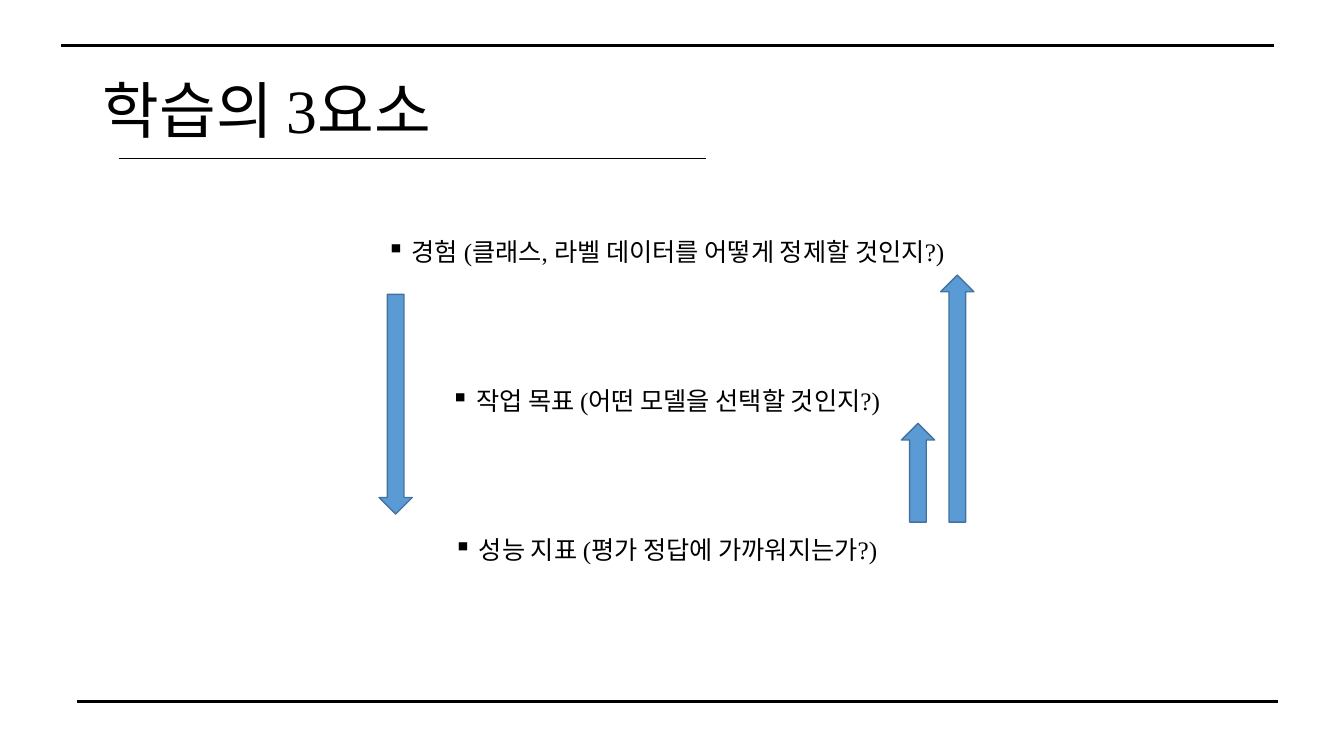
"""Build the slide on the three elements of learning."""
from lxml import etree
from pptx import Presentation
from pptx.dml.color import RGBColor
from pptx.enum import shapes, text
from pptx.oxml import ns
from pptx.util import Inches, Pt

FONT = "Times New Roman"
BLACK, BLUE, DARK_BLUE = "000000", "5B9BD5", "43739E"
ELEMENTS = [
    "경험 (클래스, 라벨 데이터를 어떻게 정제할 것인지?)",
    "작업 목표 (어떤 모델을 선택할 것인지?)",
    "성능 지표 (평가 정답에 가까워지는가?)",
]


def color(value):
    return RGBColor.from_string(value)


def style_paragraph(p, size, line_spacing):
    p.font.name = FONT
    p.font.size = Pt(size)
    p.font.color.rgb = color(BLACK)
    p.line_spacing = line_spacing


def add_bullet(p):
    pPr = p._p.get_or_add_pPr()
    pPr.set("marL", str(Inches(0.25)))
    pPr.set("indent", str(-Inches(0.25)))
    bullet = etree.Element(ns.qn("a:buChar"), char="▪")
    pPr.insert_element_before(bullet, "a:tabLst", "a:defRPr", "a:extLst")


def add_frame(s, left, top, width, height):
    tf = s.shapes.add_textbox(
        Inches(left), Inches(top), Inches(width), Inches(height)).text_frame
    tf.word_wrap = True
    return tf


def add_rule(s, left, right, y, weight):
    line = s.shapes.add_connector(
        shapes.MSO_CONNECTOR.STRAIGHT,
        Inches(left), Inches(y), Inches(right), Inches(y))
    line.line.color.rgb = color(BLACK)
    line.line.width = Pt(weight)
    etree.SubElement(line._element.spPr, ns.qn("a:effectLst"))


def add_arrow(s, kind, left, top, height):
    sp = s.shapes.add_shape(
        kind, Inches(left), Inches(top), Inches(0.33), Inches(height))
    sp.shadow.inherit = False
    sp.fill.solid()
    sp.fill.fore_color.rgb = color(BLUE)
    sp.line.color.rgb = color(DARK_BLUE)
    sp.line.width = Pt(1)


def add_title(s, left, top, width, height):
    tf = add_frame(s, left, top, width, height)
    tf.vertical_anchor = text.MSO_ANCHOR.MIDDLE
    p = tf.paragraphs[0]
    p.text = "학습의 3요소"
    style_paragraph(p, 44, 0.9)
    add_rule(s, left + 0.26, left + 6.08, top + 1.17, 1)


def add_elements(s, left, top, width, height):
    tf = add_frame(s, left, top, width, height)
    for i, element in enumerate(ELEMENTS):
        p = tf.paragraphs[0] if i == 0 else tf.add_paragraph()
        p.text = element
        p.alignment = text.PP_ALIGN.CENTER
        p.space_before = Pt(63 if i else 10)
        style_paragraph(p, 18, 2)
        add_bullet(p)


def add_flow(s, left, top, width, height):
    up, down = shapes.MSO_SHAPE.UP_ARROW, shapes.MSO_SHAPE.DOWN_ARROW
    right, bottom = left + width - 0.33, top + height
    add_arrow(s, down, left, top + 0.19, 2.18)
    add_arrow(s, up, right - 0.39, bottom - 0.98, 0.98)
    add_arrow(s, up, right, top, height)


def main():
    prs = Presentation()
    prs.slide_width, prs.slide_height = Inches(13.33), Inches(7.5)
    s = prs.slides.add_slide(prs.slide_layouts[6])
    add_rule(s, 0.61, 12.64, 0.45, 2.25)
    add_rule(s, 0.76, 12.68, 6.96, 2.25)
    add_title(s, 0.92, 0.4, 11.5, 1.45)
    add_elements(s, 0.92, 2, 11.36, 4.76)
    add_flow(s, 3.76, 2.73, 5.9, 2.45)
    prs.save("out.pptx")


main()
